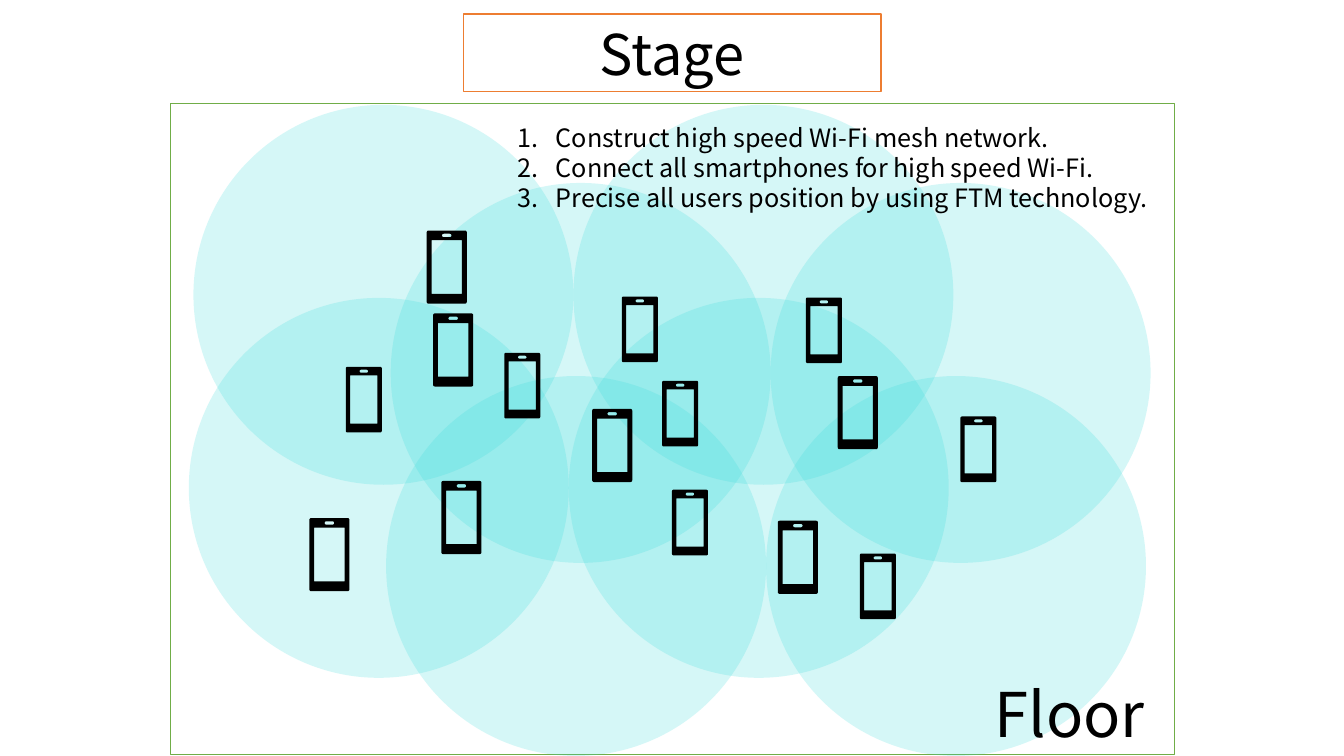
from dataclasses import dataclass
from itertools import product
from math import cos, pi, sin

from lxml.etree import SubElement as Sub
from pptx import Presentation
from pptx.dml.color import RGBColor as Rgb
from pptx.enum.shapes import MSO_SHAPE as Kind
from pptx.enum.text import MSO_ANCHOR as Anchor, MSO_AUTO_SIZE as Fit, PP_ALIGN as Align
from pptx.oxml.ns import qn
from pptx.util import Pt


@dataclass(frozen=True)
class Theme:
    face: str = "Noto Sans CJK JP"
    ink: str = "000000"
    paper: str = "FFFFFF"
    stage: str = "ED7D31"
    floor: str = "70AD47"
    zone: str = "2FD9D9"
    alpha: int = 20
    title: int = 40
    label: int = 44
    body: int = 18


# Phone outline, in hundredths of a point at full height
WIDE, TALL = 2860, 5220


def rounded(x, y, w, h, r):
    """Points of a rounded rectangle, clockwise from the left edge."""
    hubs = [(x + r, y + r), (x + w - r, y + r), (x + w - r, y + h - r), (x + r, y + h - r)]
    return [(cx + r * cos(a), cy + r * sin(a))
            for i, (cx, cy) in enumerate(hubs)
            for a in (pi + (i + k / 6) * pi / 2 for k in range(7))]


CASE = rounded(0, 0, WIDE, TALL, 130)
GLASS = [(345, 690), (345, 4520), (2515, 4520), (2515, 690)]
SLOT = rounded(1090, 230, 680, 240, 120)[::-1]


class Deck:
    def __init__(self, theme):
        self.look = theme
        self.prs = Presentation()
        self.prs.slide_width, self.prs.slide_height = Pt(960), Pt(540)
        self.slide = self.prs.slides.add_slide(self.prs.slide_layouts[5])
        self.items = self.slide.shapes

    def paint(self, shape, fill=None, line=None, width=1):
        if fill:
            shape.fill.solid()
            shape.fill.fore_color.rgb = Rgb.from_string(fill)
        else:
            shape.fill.background()
        if line:
            shape.line.color.rgb = Rgb.from_string(line)
            shape.line.width = Pt(width)
        else:
            shape.line.fill.background()

    def letter(self, shape, lines, size, align=Align.LEFT, wrap=True, listed=False):
        frame = shape.text_frame
        frame.text = "\n".join(lines)
        frame.word_wrap = wrap
        frame.auto_size = Fit.NONE
        for para in frame.paragraphs:
            if listed:
                props = para._p.get_or_add_pPr()
                props.set("marL", str(Pt(27)))
                props.set("indent", str(Pt(-27)))
                Sub(props, qn("a:buAutoNum"), type="arabicPeriod")
            para.alignment = align
            para.line_spacing = 1.0
            para.font.name = self.look.face
            para.font.size = Pt(size)
            para.font.color.rgb = Rgb.from_string(self.look.ink)

    def title(self, text, x, y, w, h):
        shape = self.items.title
        shape.left, shape.top, shape.width, shape.height = map(Pt, (x, y, w, h))
        self.paint(shape, self.look.paper, self.look.stage)
        self.letter(shape, [text], self.look.title, Align.CENTER)
        shape.text_frame.vertical_anchor = Anchor.MIDDLE

    def text(self, lines, x, y, w, h, size, **style):
        self.letter(self.items.add_textbox(*map(Pt, (x, y, w, h))), lines, size, **style)

    def shape(self, kind, x, y, w, h, alpha=None, **style):
        shape = self.items.add_shape(kind, *map(Pt, (x, y, w, h)))
        shape.shadow.inherit = False
        self.paint(shape, **style)
        if alpha:
            tint = shape.element.spPr.find(".//" + qn("a:srgbClr"))
            Sub(tint, qn("a:alpha"), val=str(alpha * 1000))

    def phone(self, x, y, tall):
        pen = self.items.build_freeform(*CASE[0], scale=Pt(tall) / TALL)
        pen.add_line_segments(CASE[1:])
        for hole in (GLASS, SLOT):
            pen.move_to(*hole[0])
            pen.add_line_segments(hole[1:])
        shape = pen.convert_to_shape(Pt(x), Pt(y))
        shape.shadow.inherit = False
        self.paint(shape, self.look.ink)


def main():
    look = Theme()
    deck = Deck(look)

    # Stage and floor
    deck.title("Stage", 331.2, 10.1, 298, 55.4)
    deck.shape(Kind.RECTANGLE, 121.7, 74.2, 717, 465, line=look.floor, width=0.75)

    # Wi-Fi zones: two rows of two touching pairs
    size = 271.4
    for row, pair, step in product(range(2), repeat=3):
        deck.shape(Kind.FLOWCHART_CONNECTOR,
                   138.2 - 3.3 * row + size * pair + 140.9 * step,
                   74.9 + 137.9 * row + 55.8 * step,
                   size, size, fill=look.zone, alpha=look.alpha)

    # Labels
    deck.text(["Floor"], 703.4, 479.5, 134.6, 60.5, look.label, wrap=False)
    deck.text(["Construct high speed Wi-Fi mesh network.",
               "Connect all smartphones for high speed Wi-Fi.",
               "Precise all users position by using FTM technology."],
              362.9, 83.5, 471.6, 72.7, look.body, listed=True)

    # Phones, by height
    spots = {
        46.9: [(247, 262), (360.2, 252), (444.2, 211.8), (480, 349.8), (473, 272),
               (575.7, 212.5), (686, 297.5), (614.2, 395.4)],
        52.2: [(221, 370.1), (315.3, 343.6), (304.8, 164.7), (309.4, 223.9),
               (423, 292.1), (598.4, 268.7), (555.6, 372)],
    }
    for tall, places in spots.items():
        for x, y in places:
            deck.phone(x, y, tall)

    deck.prs.save("out.pptx")


if __name__ == "__main__":
    main()
